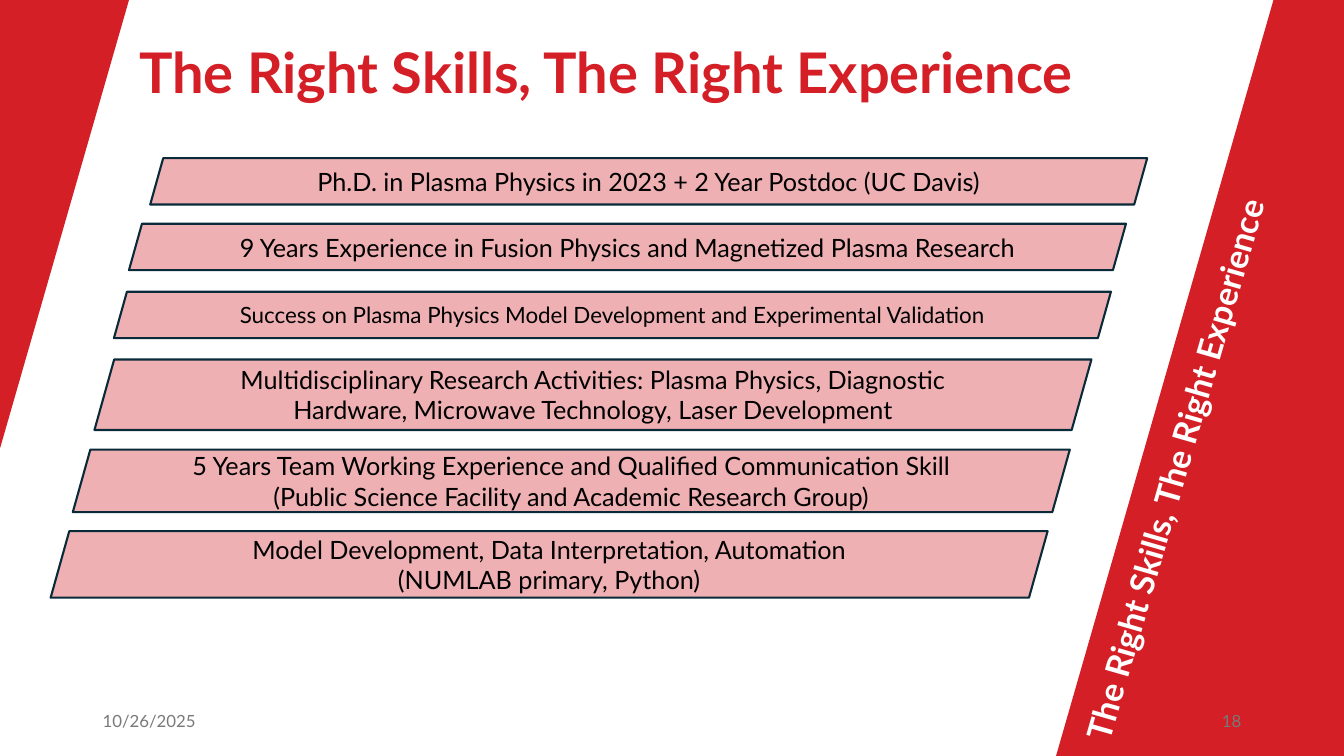
from dataclasses import dataclass

from lxml.etree import SubElement
from pptx import Presentation
from pptx.dml.color import RGBColor
from pptx.enum.shapes import MSO_SHAPE
from pptx.enum.text import MSO_ANCHOR, PP_ALIGN
from pptx.oxml.ns import qn
from pptx.shapes.autoshape import Shape
from pptx.slide import Slide
from pptx.util import Emu, Inches, Pt

RED = RGBColor(0xD4, 0x1F, 0x26)
NAVY = RGBColor(0x09, 0x2A, 0x39)
GRAY = RGBColor(0x79, 0x79, 0x79)
BLACK = RGBColor(0, 0, 0)
WHITE = RGBColor(0xFF, 0xFF, 0xFF)
FONT = "Lato"
WIDE, HIGH = Inches(13.333), Inches(7.5)
SPAN = 74.18
SLANT = 0.28
ALPHA = 35
HEAD = "The Right Skills, The Right Experience"


@dataclass(frozen=True)
class Box:
    left: float
    top: float
    width: float
    height: float

    def place(self) -> tuple[Emu, Emu, Emu, Emu]:
        return (
            Emu(round(WIDE * self.left / 100)),
            Emu(round(HIGH * self.top / 100)),
            Emu(round(WIDE * self.width / 100)),
            Emu(round(HIGH * self.height / 100)),
        )


@dataclass(frozen=True)
class Wedge:
    box: Box
    flip: str


@dataclass(frozen=True)
class Bar:
    left: float
    top: float
    height: float
    text: str
    size: int = 18


@dataclass(frozen=True)
class Label:
    box: Box
    text: str
    size: int
    color: RGBColor
    bold: bool = False
    align: PP_ALIGN = PP_ALIGN.LEFT
    anchor: MSO_ANCHOR = MSO_ANCHOR.TOP
    turn: float = 0


WEDGES = [
    Wedge(Box(0, 0, 9.6, 59.33), "flipV"),
    Wedge(Box(78.58, -32.4, 21.42, 132.4), "flipH"),
]

TITLE = Label(Box(9.6, 4.27, 80.33, 10.27), HEAD, 40, RED, bold=True)

LABELS = [
    Label(Box(65.03, 56.93, 45.3, 6.67), HEAD, 24, WHITE, bold=True, turn=286.1),
    Label(Box(6.9, 92.67, 22.5, 5.33), "10/26/2025", 12, GRAY,
          anchor=MSO_ANCHOR.MIDDLE),
    Label(Box(70.6, 92.67, 22.5, 5.33), "18", 12, GRAY,
          align=PP_ALIGN.RIGHT, anchor=MSO_ANCHOR.MIDDLE),
]

BARS = [
    Bar(11.18, 20.93, 6.13,
        "Ph.D. in Plasma Physics in 2023 + 2 Year Postdoc (UC Davis)"),
    Bar(9.6, 29.6, 6.13,
        "9 Years Experience in Fusion Physics and Magnetized Plasma Research"),
    Bar(8.48, 38.6, 6.13,
        "Success on Plasma Physics Model Development and Experimental Validation", 16),
    Bar(7.03, 47.55, 9.33,
        "Multidisciplinary Research Activities: Plasma Physics, Diagnostic "
        "Hardware, Microwave Technology, Laser Development"),
    Bar(5.42, 59.47, 8.27,
        "5 Years Team Working Experience and Qualified Communication Skill\n"
        "(Public Science Facility and Academic Research Group)"),
    Bar(3.77, 70.27, 8.8,
        "Model Development, Data Interpretation, Automation\n"
        "(NUMLAB primary, Python)"),
]


def write(shape: Shape, label: Label) -> None:
    frame = shape.text_frame
    frame.text = label.text
    frame.word_wrap = True
    frame.vertical_anchor = label.anchor
    for line in frame.paragraphs:
        line.alignment = label.align
        for run in line.runs:
            run.font.name = FONT
            run.font.size = Pt(label.size)
            run.font.bold = label.bold
            run.font.color.rgb = label.color


def paint(slide: Slide, kind: MSO_SHAPE, box: Box, slant: float) -> Shape:
    shape = slide.shapes.add_shape(kind, *box.place())
    shape.shadow.inherit = False
    shape.adjustments[0] = slant
    shape.fill.solid()
    shape.fill.fore_color.rgb = RED
    return shape


def add_wedge(slide: Slide, wedge: Wedge) -> None:
    shape = paint(slide, MSO_SHAPE.ISOSCELES_TRIANGLE, wedge.box, 0)
    shape.line.fill.background()
    shape.element.spPr.find(qn("a:xfrm")).set(wedge.flip, "1")


def add_bar(slide: Slide, bar: Bar) -> None:
    box = Box(bar.left, bar.top, SPAN, bar.height)
    shape = paint(slide, MSO_SHAPE.PARALLELOGRAM, box, SLANT)
    tint = shape.element.spPr.find(qn("a:solidFill"))[0]
    SubElement(tint, qn("a:alpha")).set("val", str(ALPHA * 1000))
    shape.line.color.rgb = NAVY
    shape.line.width = Pt(1.5)
    write(shape, Label(box, bar.text, bar.size, BLACK,
                       align=PP_ALIGN.CENTER, anchor=MSO_ANCHOR.MIDDLE))


def add_label(slide: Slide, label: Label) -> None:
    shape = slide.shapes.add_textbox(*label.box.place())
    shape.rotation = label.turn
    write(shape, label)


def set_title(slide: Slide, label: Label) -> None:
    title = slide.shapes.title
    title.left, title.top, title.width, title.height = label.box.place()
    write(title, label)


def main() -> None:
    deck = Presentation()
    deck.slide_width, deck.slide_height = WIDE, HIGH
    slide = deck.slides.add_slide(deck.slide_layouts[5])
    set_title(slide, TITLE)
    for wedge in WEDGES:
        add_wedge(slide, wedge)
    for bar in BARS:
        add_bar(slide, bar)
    for label in LABELS:
        add_label(slide, label)
    deck.save("out.pptx")


if __name__ == "__main__":
    main()
